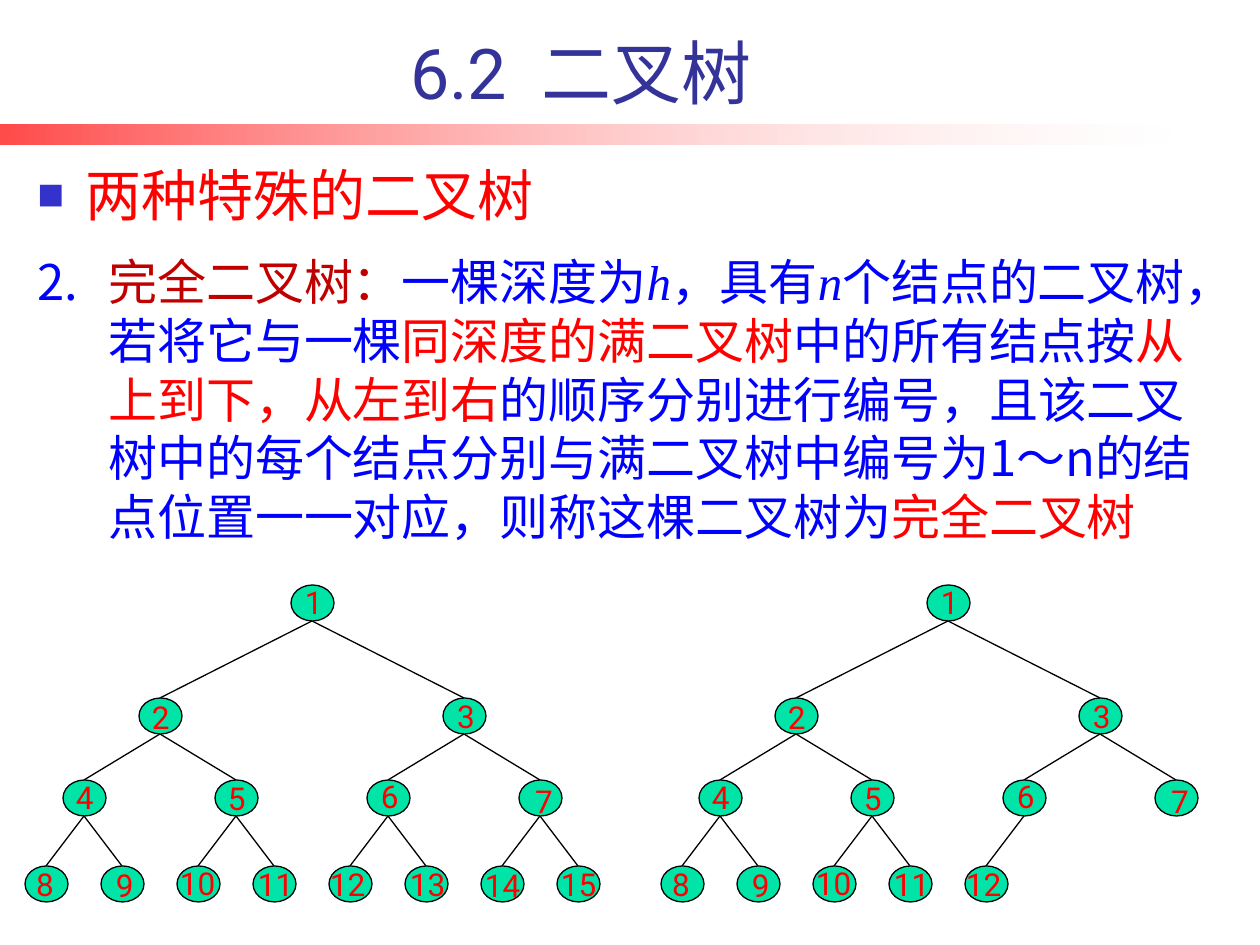
from dataclasses import dataclass

from lxml import etree
from pptx import Presentation
from pptx.dml.color import RGBColor
from pptx.enum.shapes import MSO_CONNECTOR, MSO_SHAPE
from pptx.enum.text import MSO_ANCHOR, PP_ALIGN
from pptx.oxml.ns import qn
from pptx.util import Emu, Pt

PX_PER_INCH = 126
OVAL, RECT, STRAIGHT = MSO_SHAPE.OVAL, MSO_SHAPE.RECTANGLE, MSO_CONNECTOR.STRAIGHT
TOP, BOTTOM = MSO_ANCHOR.TOP, MSO_ANCHOR.BOTTOM
LEFT, CENTER = PP_ALIGN.LEFT, PP_ALIGN.CENTER
HAN, LATIN, MATH = "Noto Sans CJK SC", "Roboto", "Times New Roman"
COLORS = {
    "title": "333399", "bullet": "3333CC", "term": "C00000", "body": "0000FF",
    "accent": "FF0000", "node": "00E4A8", "outline": "000000", "fade": "FFFFFF",
}

# Tree layout: nodes are numbered level by level, leaves are evenly spaced
NODE_W, NODE_H = 43, 36
HALF_PITCH = 38
LEVEL_TOPS = (585, 698, 780, 866)
# Offset of each number from the corner of its node, for 1 to 15
LABEL_OFFSETS = (
    (14, -2), (13, 0), (14, -1), (13, -2), (13, -1), (14, -3), (16, 2), (11, -1),
    (15, 0), (3, -2), (5, -1), (1, -1), (5, -1), (4, 0), (4, -1),
)


@dataclass(frozen=True)
class Box:
    left: int
    top: int
    width: int
    height: int

    def emu(self) -> tuple[Emu, ...]:
        return tuple(px(v) for v in (self.left, self.top, self.width, self.height))


@dataclass(frozen=True)
class Run:
    text: str
    color: str
    font: str = HAN
    italic: bool = False


@dataclass(frozen=True)
class Bullet:
    tag: str
    attributes: dict[str, str]
    color: str
    font: str
    percent: int
    indent: int


@dataclass(frozen=True)
class Tree:
    first_leaf_x: int
    node_count: int


def px(value: int) -> Emu:
    return Emu(round(value * 914400 / PX_PER_INCH))


def rgb(name: str) -> RGBColor:
    return RGBColor.from_string(COLORS[name])


def sub(parent, tag: str, **attributes: str):
    return etree.SubElement(parent, qn(tag), attributes)


def add_bullet(paragraph, bullet: Bullet) -> None:
    props = paragraph._p.get_or_add_pPr()
    indent = px(bullet.indent)
    props.set("marL", str(indent))
    props.set("indent", str(-indent))
    sub(sub(props, "a:buClr"), "a:srgbClr", val=COLORS[bullet.color])
    sub(props, "a:buSzPct", val=str(bullet.percent * 1000))
    sub(props, "a:buFont", typeface=bullet.font)
    sub(props, bullet.tag, **bullet.attributes)


def add_text(shapes, box: Box, runs: list[Run], *, size: int, anchor=TOP, align=LEFT,
             wrap: bool = True, inset: bool = True, bullet: Bullet | None = None,
             line_spacing=None) -> None:
    frame = shapes.add_textbox(*box.emu()).text_frame
    frame.word_wrap = wrap
    frame.vertical_anchor = anchor
    if not inset:
        frame.margin_left = frame.margin_right = 0
        frame.margin_top = frame.margin_bottom = 0
    paragraph = frame.paragraphs[0]
    if bullet:
        add_bullet(paragraph, bullet)
    paragraph.alignment = align
    paragraph.line_spacing = line_spacing
    for part in runs:
        run = paragraph.add_run()
        run.text = part.text
        run.font.size = Pt(size)
        run.font.italic = part.italic
        run.font.color.rgb = rgb(part.color)
        run.font.name = part.font
        sub(run._r.get_or_add_rPr(), "a:ea", typeface=HAN)


def add_fading_bar(shapes, box: Box) -> None:
    bar = shapes.add_shape(RECT, *box.emu())
    bar.shadow.inherit = False
    bar.line.fill.background()
    bar.fill.gradient()
    bar.fill.gradient_angle = 0
    for stop, color in zip(bar.fill.gradient_stops, ("accent", "fade")):
        stop.color.rgb = rgb(color)
    stops = bar._element.spPr.iter(qn("a:srgbClr"))
    for color, percent in zip(list(stops), (71, 18)):
        sub(color, "a:alpha", val=str(percent * 1000))


def node_center(tree: Tree, number: int) -> tuple[int, int]:
    level = number.bit_length() - 1
    position = number - 2 ** level
    span = 8 >> level
    x = tree.first_leaf_x + HALF_PITCH * (span * (2 * position + 1) - 1)
    return x, LEVEL_TOPS[level] + NODE_H // 2


def add_edge(shapes, tree: Tree, child: int) -> None:
    parent_x, parent_y = node_center(tree, child // 2)
    child_x, child_y = node_center(tree, child)
    edge = shapes.add_connector(STRAIGHT, px(parent_x), px(parent_y + NODE_H // 2),
                                px(child_x), px(child_y - NODE_H // 2))
    edge.line.color.rgb = rgb("outline")
    edge.line.width = Pt(0.75)
    sub(edge._element.spPr, "a:effectLst")


def add_node(shapes, tree: Tree, number: int) -> None:
    x, y = node_center(tree, number)
    left, top = x - NODE_W // 2, y - NODE_H // 2
    node = shapes.add_shape(OVAL, *Box(left, top, NODE_W, NODE_H).emu())
    node.shadow.inherit = False
    node.fill.solid()
    node.fill.fore_color.rgb = rgb("node")
    node.line.color.rgb = rgb("outline")
    node.line.width = Pt(0.75)
    dx, dy = LABEL_OFFSETS[number - 1]
    size = (34, 29) if number < 10 else (40, 38)
    add_text(shapes, Box(left + dx, top + dy, *size),
             [Run(str(number), "accent", LATIN)], size=18, wrap=False, inset=False)


def add_tree(slide, tree: Tree) -> None:
    shapes = slide.shapes.add_group_shape().shapes
    for child in range(2, tree.node_count + 1):
        add_edge(shapes, tree, child)
    for number in range(1, tree.node_count + 1):
        add_node(shapes, tree, number)


def main() -> None:
    deck = Presentation()
    deck.slide_width, deck.slide_height = px(1260), px(945)
    slide = deck.slides.add_slide(deck.slide_layouts[6])

    # Title and bar
    add_fading_bar(slide.shapes, Box(0, 125, 1171, 20))
    add_text(slide.shapes, Box(343, 31, 476, 89), [Run("6.2  二叉树", "title", LATIN)],
             size=40, anchor=BOTTOM, align=CENTER)

    # Heading
    square = Bullet("a:buChar", {"char": "■"}, "bullet", MATH, 80, 48)
    add_text(slide.shapes, Box(25, 145, 1074, 89), [Run("两种特殊的二叉树", "accent")],
             size=32, anchor=BOTTOM, bullet=square, line_spacing=1.15)

    # Definition
    second = Bullet("a:buAutoNum", {"type": "arabicPeriod", "startAt": "2"},
                    "body", HAN, 100, 71)
    definition = [
        Run("完全二叉树：", "term"),
        Run("一棵深度为", "body"),
        Run("h", "body", MATH, True),
        Run("，具有", "body"),
        Run("n", "body", MATH, True),
        Run("个结点的二叉树，若将它与一棵", "body"),
        Run("同深度的满二叉树", "accent"),
        Run("中的所有结点按", "body"),
        Run("从上到下，从左到右", "accent"),
        Run("的顺序分别进行编号，且该二叉树中的每个结点分别与满二叉树中编号为1～n"
            "的结点位置一一对应，则称这棵二叉树为", "body"),
        Run("完全二叉树", "accent"),
    ]
    add_text(slide.shapes, Box(25, 246, 1183, 140), definition,
             size=28, bullet=second, line_spacing=Pt(33.5))

    # Full tree and complete tree
    for tree in (Tree(46, 15), Tree(682, 12)):
        add_tree(slide, tree)

    deck.save("out.pptx")


if __name__ == "__main__":
    main()
